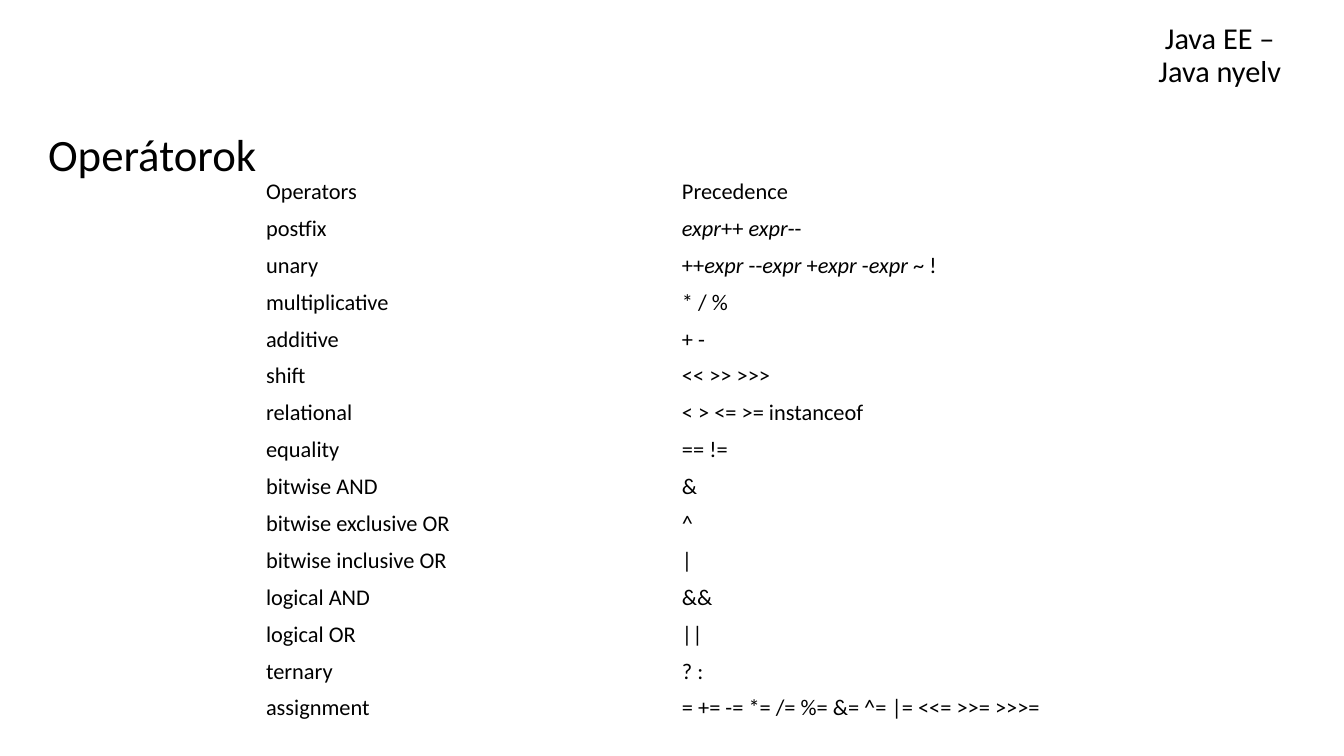
from pptx import Presentation
from pptx import util as u
from pptx.dml.color import RGBColor
from pptx.enum import text

WIDTH = u.Inches(10)
HEIGHT = WIDTH * 9 // 16
BLACK = RGBColor(0, 0, 0)
FONT = "Calibri"
OPERAND = "expr"
PRECEDENCE = [
    ("Operators", "Precedence"),
    ("postfix", "expr++ expr--"),
    ("unary", "++expr --expr +expr -expr ~ !"),
    ("multiplicative", "* / %"),
    ("additive", "+ -"),
    ("shift", "<< >> >>>"),
    ("relational", "< > <= >= instanceof"),
    ("equality", "== !="),
    ("bitwise AND", "&"),
    ("bitwise exclusive OR", "^"),
    ("bitwise inclusive OR", "|"),
    ("logical AND", "&&"),
    ("logical OR", "||"),
    ("ternary", "? :"),
    ("assignment", "= += -= *= /= %= &= ^= |= <<= >>= >>>="),
]


def apply(target, values):
    for name, value in values.items():
        setattr(target, name, value)


def area(left, top, width, height):
    return [int(share * side) for share, side in
            zip((left, top, width, height), (WIDTH, HEIGHT) * 2)]


def add_run(paragraph, words, size, italic=False):
    run = paragraph.add_run()
    run.text = words
    apply(run.font, {"name": FONT, "size": u.Pt(size), "bold": False, "italic": italic})
    run.font.color.rgb = BLACK


def add_heading(slide, place, lines, size, frame_format, paragraph_format):
    frame = slide.shapes.add_textbox(*place).text_frame
    apply(frame, {"word_wrap": True, **frame_format})
    paragraph = frame.paragraphs[0]
    apply(paragraph, {"line_spacing": 0.9, **paragraph_format})
    for index, line in enumerate(lines):
        if index:
            paragraph.add_line_break()
        add_run(paragraph, line, size)


def fill_cell(cell, words):
    apply(cell, {
        "vertical_anchor": text.MSO_ANCHOR.MIDDLE,
        "margin_left": u.Inches(0.07), "margin_right": u.Inches(0.07),
        "margin_top": u.Inches(0.03), "margin_bottom": u.Inches(0.03),
    })
    cell.fill.background()
    paragraph = cell.text_frame.paragraphs[0]
    for index, symbols in enumerate(words.split(OPERAND)):
        if index:
            add_run(paragraph, OPERAND, 12, italic=True)
        if symbols:
            add_run(paragraph, symbols, 12)


def add_precedence_table(slide, place):
    table = slide.shapes.add_table(len(PRECEDENCE), 2, *place).table
    apply(table, {"first_row": False, "horz_banding": False})
    for row, entries in enumerate(PRECEDENCE):
        for column, words in enumerate(entries):
            fill_cell(table.cell(row, column), words)


def main():
    deck = Presentation()
    apply(deck, {"slide_width": WIDTH, "slide_height": HEIGHT})
    slide = deck.slides.add_slide(deck.slide_layouts[6])
    add_heading(slide, area(0.823, 0.0125, 0.169, 0.114), ["Java EE –", "Java nyelv"], 16.2,
                {"vertical_anchor": text.MSO_ANCHOR.BOTTOM},
                {"alignment": text.PP_ALIGN.CENTER})
    add_heading(slide, area(0.026, 0.167, 0.943, 0.085), ["Operátorok"], 24,
                {"vertical_anchor": text.MSO_ANCHOR.TOP},
                {"space_before": u.Pt(10)})
    add_precedence_table(slide, area(0.191, 0.2295, 0.619, 0.7327))
    deck.save("out.pptx")


if __name__ == "__main__":
    main()
